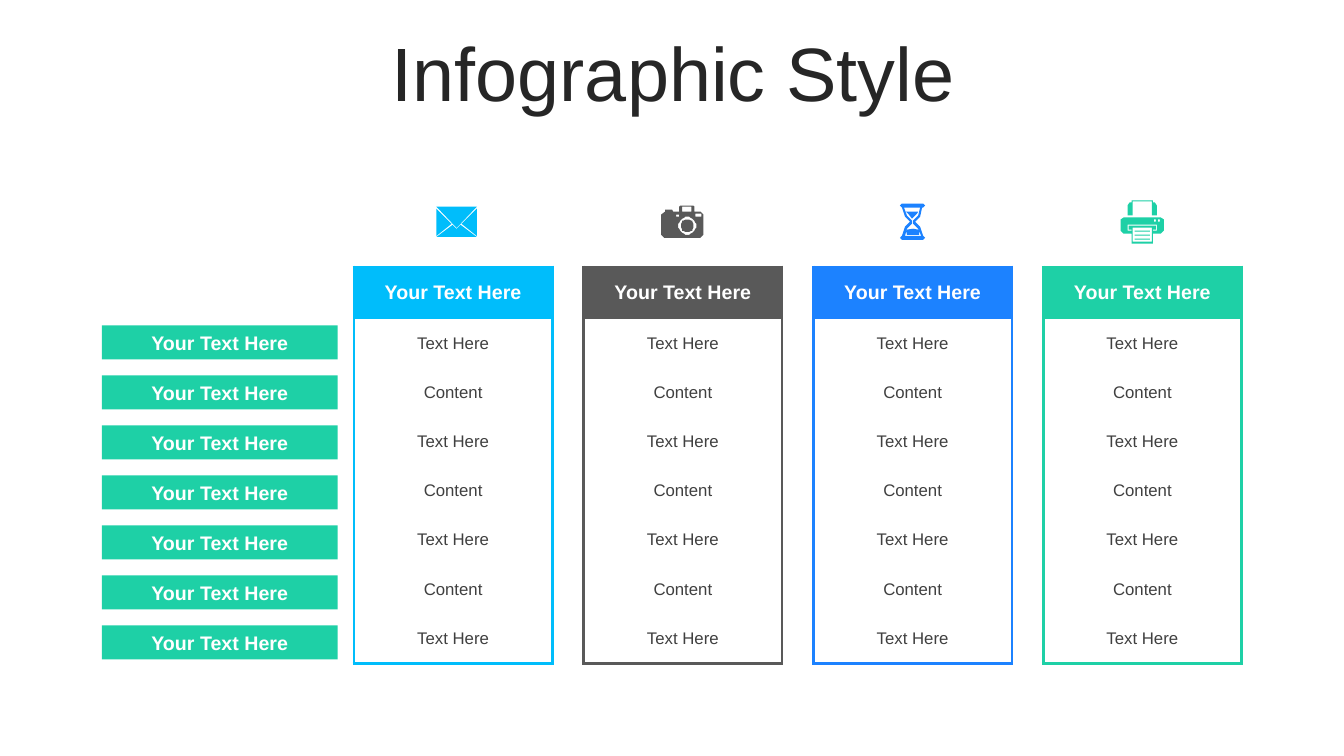
"""Build a slide with four coloured text columns, row labels and icons."""
from math import cos, pi, sin

from lxml.etree import SubElement
from pptx import Presentation
from pptx.dml.color import RGBColor
from pptx.enum.shapes import MSO_SHAPE as SHAPE
from pptx.enum.text import MSO_ANCHOR as ANCHOR, PP_ALIGN as ALIGN
from pptx.oxml.ns import qn
from pptx.util import Cm, Pt

CYAN = RGBColor(0x00, 0xBD, 0xFB)
GRAY = RGBColor(0x59, 0x59, 0x59)
BLUE = RGBColor(0x1C, 0x82, 0xFF)
GREEN = RGBColor(0x1E, 0xD0, 0xA6)
WHITE = RGBColor(0xFF, 0xFF, 0xFF)
DARK = RGBColor(0x40, 0x40, 0x40)
BLACK = RGBColor(0x26, 0x26, 0x26)
NO_GRID = "{2D5ABB26-0587-4C30-8999-92F81FD0307C}"
UNIT = Cm(2.54) / 100
ROWS = 7


def write(tf, text, size, color, bold=False):
    p = tf.paragraphs[0]
    p.alignment = ALIGN.CENTER
    r = p.add_run()
    r.text = text
    r.font.name = "Arial"
    r.font.size = Pt(size)
    r.font.bold = bold
    r.font.color.rgb = color
    return p


def disc(x, y, radius):
    angles = [2 * pi * i / 32 for i in range(32)]
    return [(x + radius * cos(a), y + radius * sin(a)) for a in angles]


envelope = [
    [(24, 18), (40, 30), (0, 30), (16, 18), (20, 22)],
    [(40, 2), (40, 29), (25, 17)],
    [(0, 2), (15, 17), (0, 29)],
    [(0, 0), (40, 0), (20, 21)],
]
camera = [
    [(19, 0), (32, 0), (33, 1), (33, 6), (39, 6), (42, 9), (42, 29), (39, 32), (3, 32),
     (0, 29), (0, 9), (4, 6), (4, 4), (11, 4), (12, 6), (18, 6), (18, 1)],
    [(21, 1), (30, 1), (30, 6), (21, 6)],
    [(15, 9), (18, 9), (18, 11), (15, 11)],
    [(34, 8), (40, 8), (40, 11), (34, 11)],
    disc(26, 20, 9),
    disc(26, 20, 6.5),
]
hourglass = [
    [(2, 0), (23, 0), (25, 2), (23, 4), (22, 4), (20, 13), (15, 18), (20, 23), (23, 32),
     (25, 34), (23, 36), (2, 36), (0, 34), (2, 32), (5, 23), (10, 18), (5, 13), (2, 4), (0, 2)],
    [(4, 4), (7, 12), (12, 17), (12, 20), (7, 25), (5, 32), (21, 32), (18, 25), (13, 20),
     (13, 17), (18, 12), (20, 4)],
    [(6, 8), (18, 8), (17, 10), (12, 15), (8, 10)],
    [(13, 25), (19, 26), (19, 31), (7, 31), (6, 26)],
]
printer = [
    [(3, 17), (40, 17), (43, 19), (43, 30), (40, 33), (32, 33), (32, 43), (11, 43), (11, 33),
     (3, 33), (0, 30), (0, 19)],
    [(11, 0), (32, 0), (32, 2), (34, 2), (36, 5), (36, 15), (31, 15), (31, 1), (12, 1),
     (12, 15), (7, 15), (7, 5), (9, 2), (11, 2)],
    [(7, 24), (7, 30), (11, 30), (11, 29), (8, 29), (8, 25), (35, 25), (35, 29), (32, 29),
     (32, 30), (36, 30), (36, 24)],
    [(12, 27), (31, 27), (31, 41), (12, 41)],
    *[[(14, y), (29, y), (29, y + 1), (14, y + 1)] for y in (30, 34, 38)],
    disc(34, 20, 1),
    disc(38, 20, 1),
]
columns = [
    (CYAN, envelope, 11, 5.21),
    (GRAY, camera, 16.66, 5.18),
    (BLUE, hourglass, 22.68, 5.13),
    (GREEN, printer, 28.24, 5.05),
]

prs = Presentation()
prs.slide_width, prs.slide_height = Cm(33.87), Cm(19.05)
s = prs.slides.add_slide(prs.slide_layouts[5])

title = s.shapes.title
title.left, title.top, title.width, title.height = Cm(0.89), Cm(0.94), Cm(32.16), Cm(2.01)
title.text_frame.vertical_anchor = ANCHOR.MIDDLE
p = write(title.text_frame, "Infographic Style", 54, BLACK)
p.line_spacing = 0.9
p.space_before = Pt(10)

for i in range(ROWS):
    sp = s.shapes.add_shape(SHAPE.RECTANGLE, Cm(2.57), Cm(8.2 + 1.26 * i), Cm(5.94), Cm(0.86))
    sp.shadow.inherit = False
    sp.fill.solid()
    sp.fill.fore_color.rgb = GREEN
    sp.line.fill.background()
    sp.text_frame.vertical_anchor = ANCHOR.MIDDLE
    write(sp.text_frame, "Your Text Here", 14, WHITE, True)

for i, (color, icon, x, y) in enumerate(columns):
    frame = s.shapes.add_table(ROWS + 1, 1, Cm(8.92 + 5.79 * i), Cm(6.73), Cm(5), Cm(9.98))
    next(frame.element.iter(qn("a:tableStyleId"))).text = NO_GRID
    table = frame.table
    table.horz_banding = False
    for n, row in enumerate(table.rows):
        row.height = Cm(1.24 if n else 1.3)
        cell = row.cells[0]
        cell.vertical_anchor = ANCHOR.MIDDLE
        tcPr = cell._tc.get_or_add_tcPr()
        sides = ["L", "R"] + ["T"] * (n == 0) + ["B"] * (n == ROWS)
        for side in sides:
            ln = SubElement(tcPr, qn("a:ln" + side), w=str(Pt(2.25)))
            SubElement(SubElement(ln, qn("a:solidFill")), qn("a:srgbClr"), val=str(color))
        if n == 0:
            cell.fill.solid()
            cell.fill.fore_color.rgb = color
            write(cell.text_frame, "Your Text Here", 14, WHITE, True)
        else:
            cell.fill.background()
            write(cell.text_frame, "Text Here" if n % 2 else "Content", 12, DARK)

    outline = s.shapes.build_freeform(*icon[0][0], scale=UNIT)
    for contour in icon:
        outline.move_to(*contour[0])
        outline.add_line_segments(contour[1:], close=True)
    sp = outline.convert_to_shape(Cm(x), Cm(y))
    sp.shadow.inherit = False
    sp.fill.solid()
    sp.fill.fore_color.rgb = color
    sp.line.fill.background()

prs.save("out.pptx")
